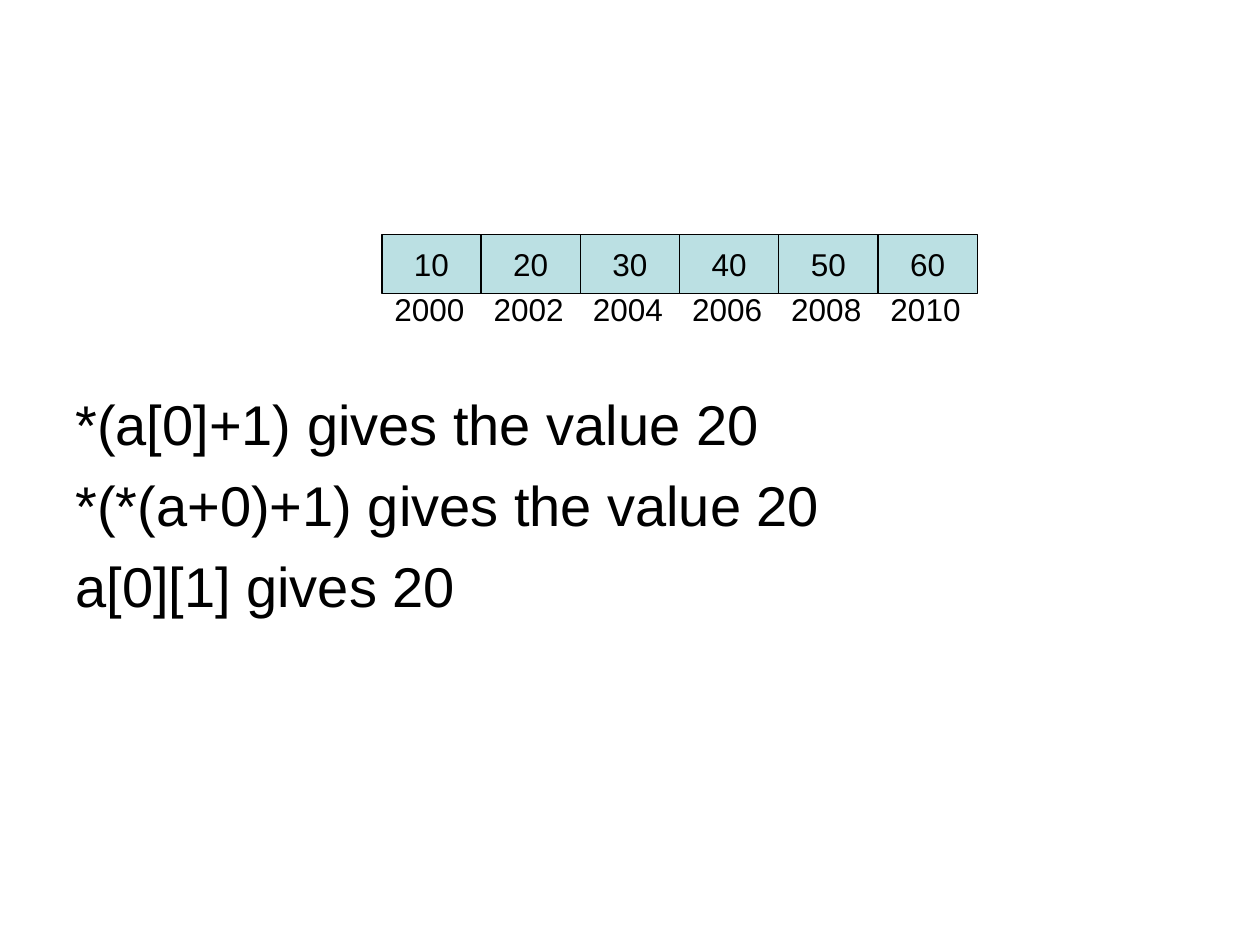
from dataclasses import dataclass

from pptx import Presentation
from pptx.dml.color import RGBColor
from pptx.enum.shapes import MSO_SHAPE
from pptx.enum.text import MSO_ANCHOR, MSO_AUTO_SIZE, PP_ALIGN
from pptx.slide import Slide
from pptx.text.text import TextFrame
from pptx.util import Pt

COLORS = {"cell": "BBE0E3", "ink": "000000"}
ROW_LEFT, CELL_TOP, ADDRESS_TOP = 218.25, 133.9, 162
CELL_WIDTH, CELL_HEIGHT = 56.7, 33.75
ADDRESS_WIDTH, ADDRESS_HEIGHT = 54.75, 28.8
FIRST_ADDRESS, INT_BYTES = 2000, 2
VALUES = (10, 20, 30, 40, 50, 60)
STATEMENTS = (
    "*(a[0]+1) gives the value 20",
    "*(*(a+0)+1) gives the value 20",
    "a[0][1] gives 20",
)


@dataclass(frozen=True)
class ArrayElement:
    """One array element with its value, memory address and left edge."""

    value: int
    address: int
    left: float


def color(key: str) -> RGBColor:
    """Look up a colour by its role."""
    return RGBColor.from_string(COLORS[key])


def set_format(target: object, formats: dict[str, object]) -> None:
    """Set each attribute of the target from the format values."""
    for attribute, setting in formats.items():
        setattr(target, attribute, setting)


def write(frame: TextFrame, lines: tuple[str, ...], size: float,
          frame_format: dict[str, object], line_format: dict[str, object]) -> None:
    """Write the lines as paragraphs in one shared style."""
    set_format(frame, frame_format)
    frame.text = "\n".join(lines)
    for line in frame.paragraphs:
        set_format(line, line_format)
        set_format(line.font, {"name": "Arial", "size": Pt(size)})
        line.font.color.rgb = color("ink")


def draw_statements(slide: Slide) -> None:
    """Draw the statements about the element below the array."""
    body = slide.shapes.add_textbox(Pt(36), Pt(126), Pt(648), Pt(356.4))
    write(body.text_frame, STATEMENTS, 32,
          {"word_wrap": True, "margin_top": Pt(96.6)}, {"space_before": Pt(8)})
    body.text_frame.paragraphs[0].space_before = Pt(0)


def draw_element(slide: Slide, element: ArrayElement) -> None:
    """Draw the value cell and the address under it."""
    cell = slide.shapes.add_shape(MSO_SHAPE.RECTANGLE, Pt(element.left), Pt(CELL_TOP),
                                  Pt(CELL_WIDTH), Pt(CELL_HEIGHT))
    cell.shadow.inherit = False
    cell.fill.solid()
    cell.fill.fore_color.rgb = color("cell")
    cell.line.color.rgb = color("ink")
    cell.line.width = Pt(0.75)
    write(cell.text_frame, (str(element.value),), 18,
          {"word_wrap": False, "vertical_anchor": MSO_ANCHOR.MIDDLE},
          {"alignment": PP_ALIGN.CENTER})
    address = slide.shapes.add_textbox(Pt(element.left), Pt(ADDRESS_TOP),
                                       Pt(ADDRESS_WIDTH), Pt(ADDRESS_HEIGHT))
    write(address.text_frame, (str(element.address),), 18,
          {"word_wrap": False, "auto_size": MSO_AUTO_SIZE.SHAPE_TO_FIT_TEXT},
          {"alignment": PP_ALIGN.LEFT})


def main() -> None:
    """Build the slide about addressing array elements."""
    deck = Presentation()
    set_format(deck, {"slide_width": Pt(720), "slide_height": Pt(540)})
    slide = deck.slides.add_slide(deck.slide_layouts[6])
    draw_statements(slide)
    for index, value in enumerate(VALUES):
        draw_element(slide, ArrayElement(value, FIRST_ADDRESS + index * INT_BYTES,
                                         ROW_LEFT + index * CELL_WIDTH))
    deck.save("out.pptx")


if __name__ == "__main__":
    main()
